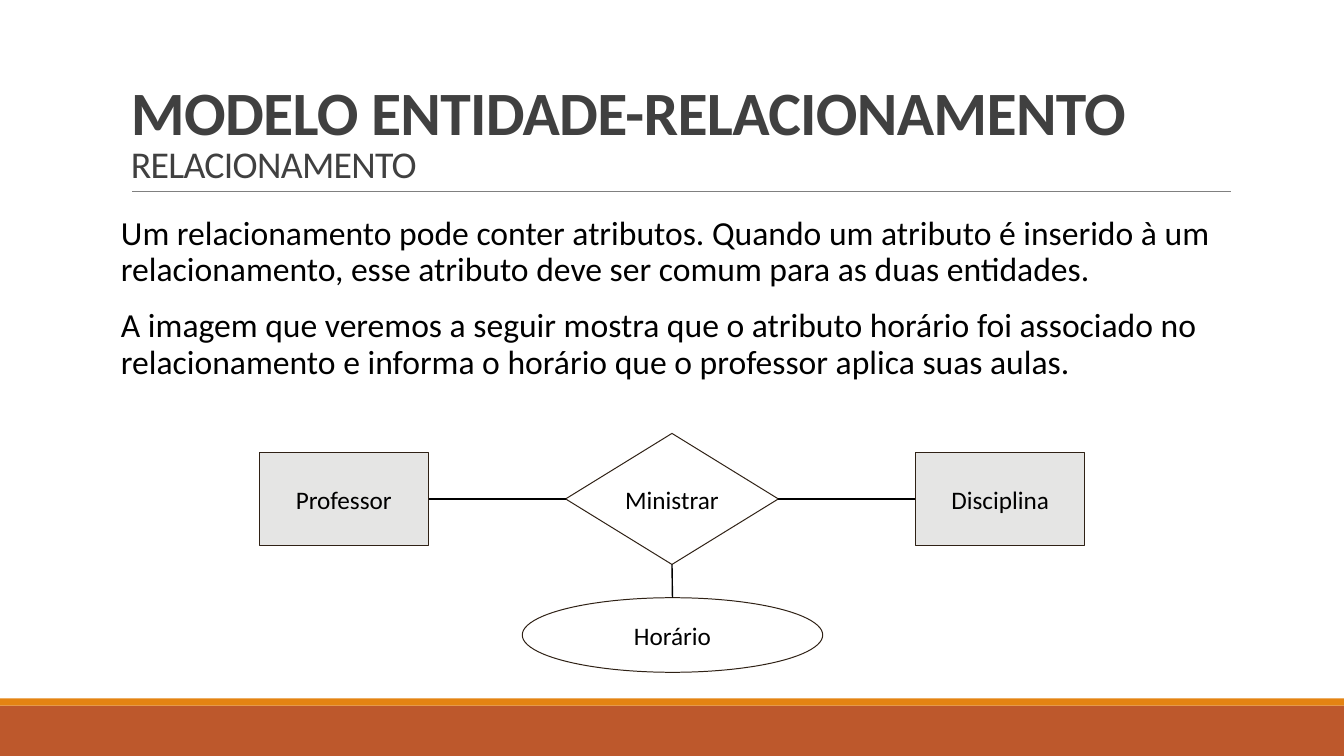
from pptx import Presentation
from pptx.dml.color import RGBColor
from pptx.enum.shapes import MSO_CONNECTOR, MSO_SHAPE
from pptx.enum.text import MSO_ANCHOR, PP_ALIGN
from pptx.oxml.ns import qn
from pptx.util import Inches, Pt
from lxml.etree import SubElement

FONT = "Calibri"
BLACK = RGBColor(0x00, 0x00, 0x00)
WHITE = RGBColor(0xFF, 0xFF, 0xFF)
TITLE_GRAY = RGBColor(0x40, 0x40, 0x40)
RULE_GRAY = RGBColor(0x80, 0x80, 0x80)
RUST = RGBColor(0xBD, 0x58, 0x2C)
ORANGE = RGBColor(0xE4, 0x83, 0x12)
ENTITY_FILL = RGBColor(0xE5, 0xE5, 0xE4)
OUTLINE = RGBColor(0x2F, 0x21, 0x15)

prs = Presentation()
prs.slide_width, prs.slide_height = Inches(13.33), Inches(7.5)
s = prs.slides.add_slide(prs.slide_layouts[6])


def add_box(kind, x, y, w, h, fill=None):
    sp = s.shapes.add_shape(kind, Inches(x), Inches(y), Inches(w), Inches(h))
    sp.shadow.inherit = False
    if fill is None:
        sp.fill.background()
    else:
        sp.fill.solid()
        sp.fill.fore_color.rgb = fill
    sp.line.fill.background()
    return sp


def add_line(color, width, x1=0, y1=0, x2=0, y2=0):
    line = s.shapes.add_connector(MSO_CONNECTOR.STRAIGHT, Inches(x1), Inches(y1), Inches(x2), Inches(y2))
    line.line.color.rgb = color
    line.line.width = Pt(width)
    SubElement(line._element.spPr, qn("a:effectLst"))
    return line


# Footer bands and title rule
add_box(MSO_SHAPE.RECTANGLE, 0, 7, 13.33, 0.5, RUST)
add_box(MSO_SHAPE.RECTANGLE, 0, 6.93, 13.33, 0.07, ORANGE)
add_line(RULE_GRAY, 0.5, 1.31, 1.9, 12.21, 1.9)

# Title
title = s.shapes.add_textbox(Inches(1.2), Inches(0.31), Inches(11), Inches(1.59))
tf = title.text_frame
tf.word_wrap = True
tf.vertical_anchor = MSO_ANCHOR.BOTTOM
p = tf.paragraphs[0]
p.line_spacing = 0.85
p.font.name = FONT
p.font.color.rgb = TITLE_GRAY
heading = p.add_run()
heading.text = "MODELO ENTIDADE-RELACIONAMENTO"
p.add_line_break()
subheading = p.add_run()
subheading.text = "RELACIONAMENTO"
for r, size, bold in ((heading, 44, True), (subheading, 27, False)):
    r.font.size = Pt(size)
    r.font.bold = bold
    r.font._element.set("spc", "-50")

# Body
body = s.shapes.add_textbox(Inches(1.2), Inches(2.1), Inches(11), Inches(4.75))
body.fill.solid()
body.fill.fore_color.rgb = WHITE
tf = body.text_frame
tf.word_wrap = True
tf.margin_left = tf.margin_right = 0
tf.text = (
    "Um relacionamento pode conter atributos. Quando um atributo é inserido à um "
    "relacionamento, esse atributo deve ser comum para as duas entidades.\n"
    "A imagem que veremos a seguir mostra que o atributo horário foi associado no "
    "relacionamento e informa o horário que o professor aplica suas aulas."
)
for p in tf.paragraphs:
    p.line_spacing = 0.9
    p.space_before, p.space_after = Pt(12), Pt(2)
    p.font.name, p.font.size = FONT, Pt(24)
    p.font.color.rgb = BLACK

# Diagram
nodes = {}
for label, kind, x, y, w, h, fill in (
    ("Professor", MSO_SHAPE.RECTANGLE, 2.57, 4.49, 1.68, 0.92, ENTITY_FILL),
    ("Disciplina", MSO_SHAPE.RECTANGLE, 9.08, 4.49, 1.68, 0.92, ENTITY_FILL),
    ("Ministrar", MSO_SHAPE.DIAMOND, 5.61, 4.3, 2.11, 1.3, None),
    ("Horário", MSO_SHAPE.OVAL, 5.18, 5.93, 2.98, 0.74, None),
):
    sp = add_box(kind, x, y, w, h, fill)
    sp.line.color.rgb = OUTLINE
    sp.line.width = Pt(0.72)
    tf = sp.text_frame
    tf.word_wrap = False
    tf.text = label
    p = tf.paragraphs[0]
    p.alignment = PP_ALIGN.CENTER
    p.font.name, p.font.size = FONT, Pt(18)
    p.font.color.rgb = BLACK
    nodes[label] = sp

# Connection sites: 0 top, 1 left, 2 bottom, 3 right
for start, start_site, end, end_site in (
    ("Professor", 3, "Ministrar", 1),
    ("Ministrar", 3, "Disciplina", 1),
    ("Ministrar", 2, "Horário", 0),
):
    link = add_line(BLACK, 1)
    link.begin_connect(nodes[start], start_site)
    link.end_connect(nodes[end], end_site)

prs.save("out.pptx")
